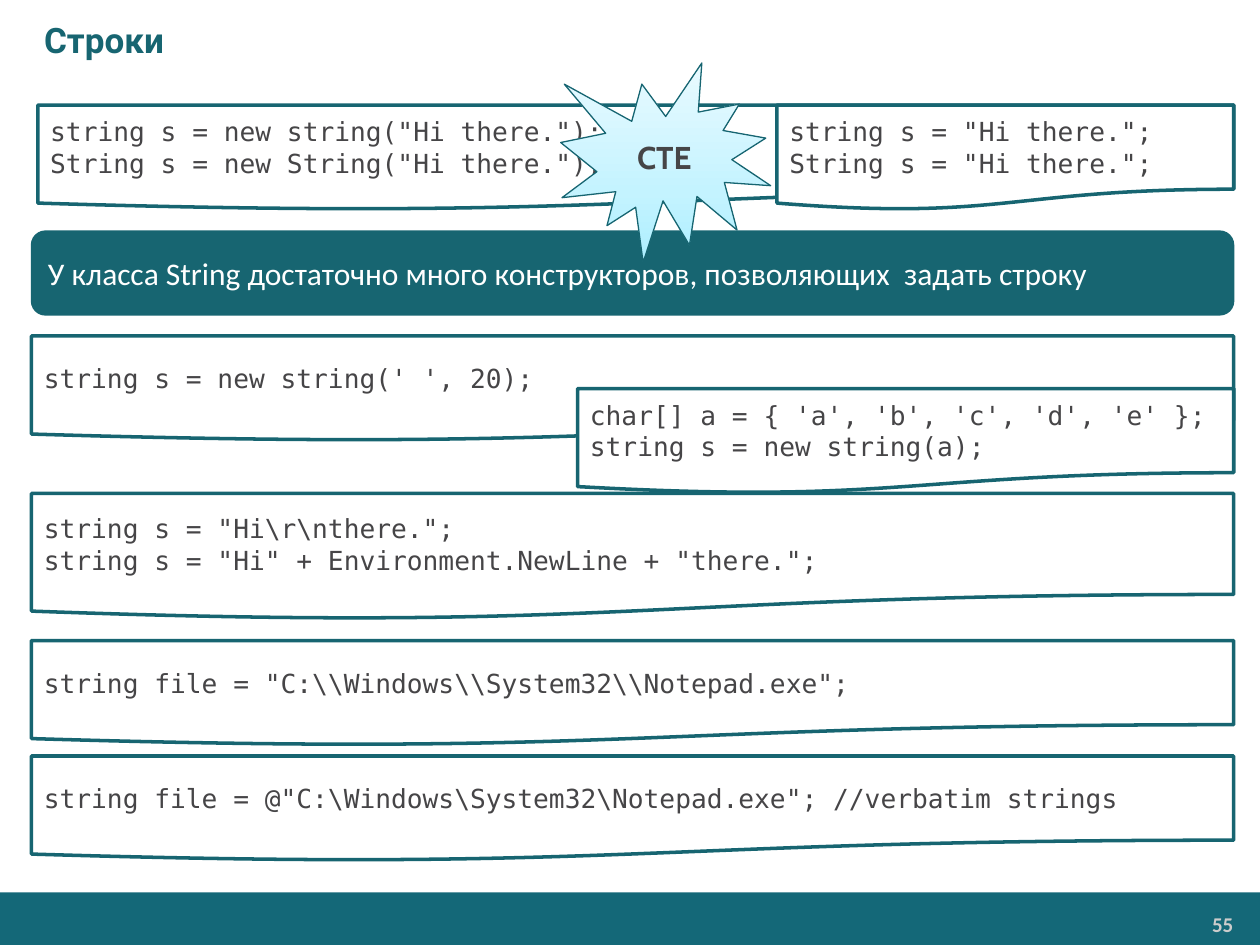
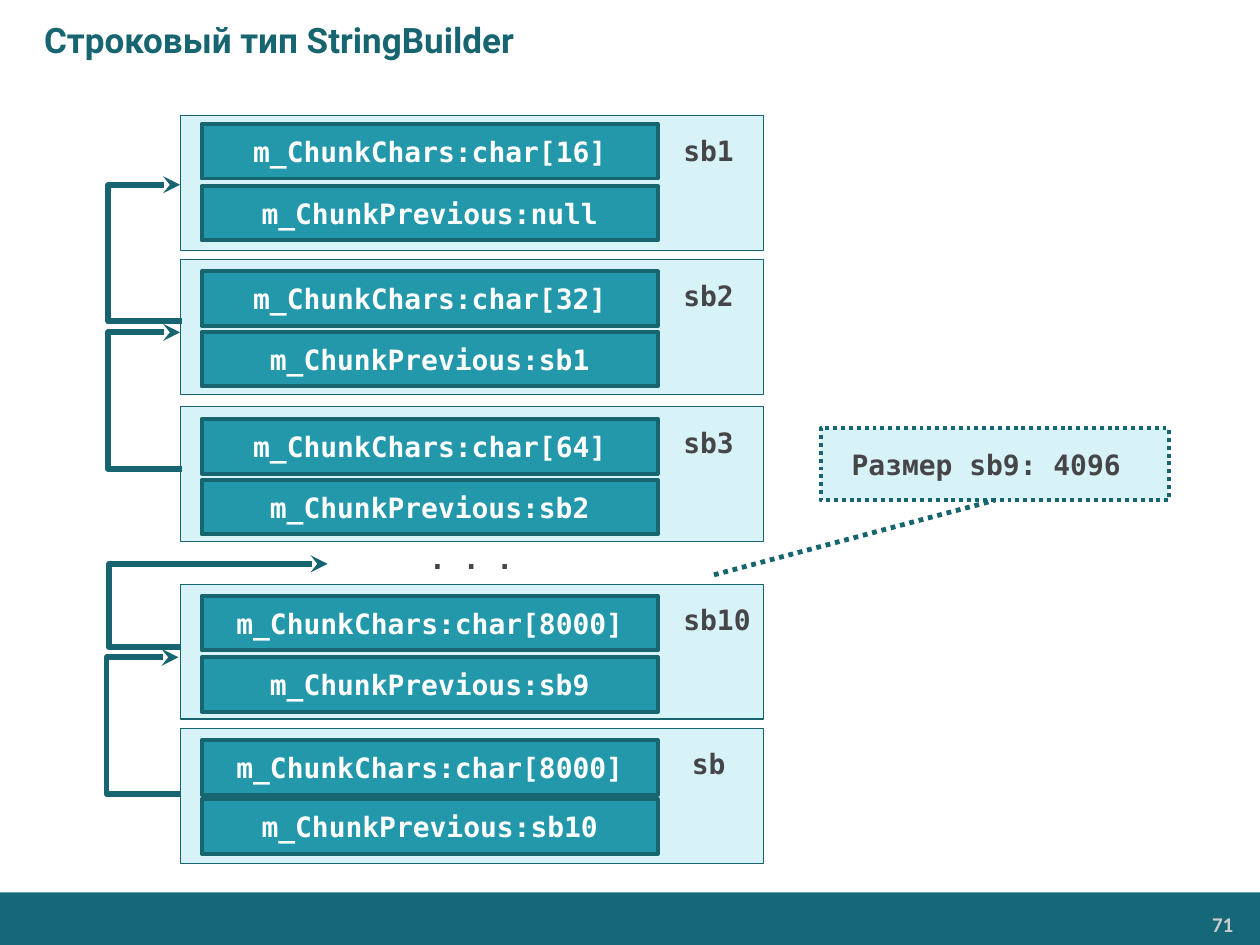
from copy import deepcopy

from pptx import Presentation
from pptx.dml.color import RGBColor
from pptx.enum.dml import MSO_LINE
from pptx.enum.shapes import MSO_CONNECTOR, MSO_SHAPE
from pptx.enum.text import MSO_ANCHOR, PP_ALIGN
from pptx.oxml.ns import qn
from pptx.util import Inches, Pt

TEAL = RGBColor(0x17, 0x65, 0x71)
BAND = RGBColor(0x14, 0x68, 0x78)
AQUA = RGBColor(0x22, 0x98, 0xAA)
PALE = RGBColor(0xD7, 0xF3, 0xF7)
WHITE = RGBColor(0xFF, 0xFF, 0xFF)
GREY = RGBColor(0xCC, 0xCC, 0xCC)
INK = RGBColor(0x46, 0x45, 0x47)
GLOW = [
    (0, RGBColor(0xAC, 0xEF, 0xFF)),
    (0.35, RGBColor(0xC4, 0xF3, 0xFF)),
    (1, RGBColor(0xE9, 0xFA, 0xFF)),
]
MONO = "DejaVu Sans Mono"
COLS, ROWS = 120, 90


class Deck:
    """Draws on a grid of 120 columns by 90 rows."""

    def __init__(self):
        self.prs = Presentation()
        self.prs.slide_width = Inches(10)
        self.prs.slide_height = Inches(7.5)
        self.slide = None

    def x(self, col):
        return round(self.prs.slide_width * col / COLS)

    def y(self, row):
        return round(self.prs.slide_height * row / ROWS)

    def rect(self, left, top, width, height):
        return self.x(left), self.y(top), self.x(width), self.y(height)

    def page(self, title, number):
        self.slide = self.prs.slides.add_slide(self.prs.slide_layouts[6])
        self.shape((0, 85, COLS, 5), BAND)
        num = self.label((98.75, 86.3, 19.55, 3.35), number, 12, GREY,
                         "Calibri", True, PP_ALIGN.RIGHT)
        num.margin_left = num.margin_right = Inches(0.07)
        num.margin_top = num.margin_bottom = Inches(0.04)
        head = self.label((0, 0, COLS, 7.5), title, 20, TEAL, "Roboto", True)
        head.margin_left = Inches(0.35)
        head.vertical_anchor = MSO_ANCHOR.MIDDLE

    def letter(self, frame, text, size, color, face=MONO, bold=False,
               align=PP_ALIGN.LEFT):
        frame.word_wrap = True
        frame.text = text
        for para in frame.paragraphs:
            para.alignment = align
            font = para.font
            font.name, font.size, font.bold = face, Pt(size), bold
            font.color.rgb = color

    def label(self, box, text, *style):
        frame = self.slide.shapes.add_textbox(*self.rect(*box)).text_frame
        self.letter(frame, text, *style)
        return frame

    def shape(self, box, fill, line=0, kind=MSO_SHAPE.RECTANGLE, dash=None):
        item = self.slide.shapes.add_shape(kind, *self.rect(*box))
        item.shadow.inherit = False
        item.fill.solid()
        item.fill.fore_color.rgb = fill
        if line:
            self.stroke(item, line, dash)
        else:
            item.line.fill.background()
        return item

    def stroke(self, item, width, dash=None):
        item.line.color.rgb = TEAL
        item.line.width = Pt(width)
        if dash:
            item.line.dash_style = dash

    def code(self, box, text):
        item = self.shape(box, WHITE, 2, MSO_SHAPE.FLOWCHART_DOCUMENT)
        self.letter(item.text_frame, text, 15, INK)

    def banner(self, box, text):
        item = self.shape(box, TEAL, 0.75, MSO_SHAPE.ROUNDED_RECTANGLE)
        self.letter(item.text_frame, text, 18, WHITE, "Calibri", False,
                    PP_ALIGN.JUSTIFY)

    def burst(self, box, text):
        item = self.shape(box, PALE, 0.75, MSO_SHAPE.EXPLOSION1)
        item.fill.gradient()
        item.fill.gradient_angle = 90
        stops = item._element.spPr.find(".//" + qn("a:gsLst"))
        stops.append(deepcopy(stops[0]))
        for stop, (place, color) in zip(item.fill.gradient_stops, GLOW):
            stop.position = place
            stop.color.rgb = color
        self.letter(item.text_frame, text, 18, INK, "Cabin", True,
                    PP_ALIGN.CENTER)

    def field(self, top, text):
        item = self.shape((19.2, top, 43.45, 5.2), AQUA, 2.25)
        self.letter(item.text_frame, text, 16, WHITE, MONO, True,
                    PP_ALIGN.CENTER)

    def link(self, kind, start, end, width, dash=None):
        item = self.slide.shapes.add_connector(
            kind, self.x(start[0]), self.y(start[1]),
            self.x(end[0]), self.y(end[1]))
        self.stroke(item, width, dash)
        props = item._element.spPr
        props.append(props.makeelement(qn("a:effectLst"), {}))
        return item

    def hook(self, start, end, bend):
        """Elbow arrow that leaves to the left and turns at column bend."""
        back = end[0] < start[0]
        ends = (end, start) if back else (start, end)
        item = self.link(MSO_CONNECTOR.ELBOW, *ends, 3.25)
        props = item._element.spPr
        if back:  # half a turn swaps the two ends
            props.find(qn("a:xfrm")).set("rot", "10800000")
        ratio = (bend - start[0]) / (end[0] - start[0])
        guides = props.find(qn("a:prstGeom")).get_or_add_avLst()
        guides.append(guides.makeelement(
            qn("a:gd"), {"name": "adj1", "fmla": f"val {ratio * 100000:.0f}"}))
        line = props.find(qn("a:ln"))
        line.append(line.makeelement(qn("a:tailEnd"), {"type": "stealth"}))


def strings(deck):
    deck.page("Строки", "55")
    left, wide, tall = 3, 114.5, 10
    deck.banner((left, 22, wide, 8),
                "У класса String достаточно много конструкторов, "
                "позволяющих  задать строку")

    # Code samples
    samples = [
        ((3.6, 10, 113.9, tall),
         'string s = new string("Hi there.");\n'
         'String s = new String("Hi there.");'),
        ((74, 10, 43.5, tall),
         'string s = "Hi there.";\nString s = "Hi there.";'),
        ((left, 32, wide, tall), "string s = new string(' ', 20);"),
        ((55, 37, 62.5, tall),
         "char[] a = { 'a', 'b', 'c', 'd', 'e' };\n"
         "string s = new string(a);"),
        ((left, 47, wide, 12),
         'string s = "Hi\\r\\nthere.";\n'
         'string s = "Hi" + Environment.NewLine + "there.";'),
        ((left, 61, wide, tall),
         r'string file = "С:\\Windows\\System32\\Notepad.exe";'),
        ((left, 72, wide, tall),
         r'string file = @"C:\Windows\System32\Notepad.exe"; '
         '//verbatim strings'),
    ]
    for box, text in samples:
        deck.code(box, text)
    deck.burst((53.4, 6, 20, 19), "CTE")


def builder(deck):
    deck.page("Строковый тип StringBuilder", "71")

    # Chunks: name, column of name, top, tops of both fields, size, previous
    chunks = [
        ("sb1", 63.9, 11, 11.8, 17.7, 16, "null"),
        ("sb2", 63.9, 24.75, 25.85, 31.6, 32, "sb1"),
        ("sb3", 63.9, 38.75, 39.9, 45.7, 64, "sb2"),
        ("sb10", 63.9, 55.65, 56.75, 62.6, 8000, "sb9"),
        ("sb", 64.7, 69.4, 70.5, 76.1, 8000, "sb10"),
    ]
    for name, col, top, first, second, size, prev in chunks:
        deck.shape((17.2, top, 55.55, 12.85), PALE, 0.75)
        deck.field(first, f"m_ChunkChars:char[{size}]")
        deck.field(second, f"m_ChunkPrevious:{prev}")
        deck.label((col, top + 1.15, 10.4, 4.4), name, 16, INK, MONO, True)
    deck.label((39.7, 51, 14.2, 4.4), ". . .", 16, INK, MONO, True)

    # Links to the previous chunk
    for right, low, high in [(17.3, 30.6, 17.6), (17.3, 44.65, 31.65),
                             (17.15, 75.6, 62.6)]:
        deck.hook((right, low), (right - 0.15, high), right - 6.95)
    deck.hook((17.2, 61.65), (31.2, 53.7), 10.35)

    # Note on the size of sb9
    dots = MSO_LINE.ROUND_DOT
    note = deck.shape((78.15, 40.8, 33.15, 6.85), PALE, 2.25, dash=dots)
    deck.letter(note.text_frame, "Размер sb9: 4096 ", 16, INK, MONO, True,
                PP_ALIGN.CENTER)
    deck.link(MSO_CONNECTOR.STRAIGHT, (68, 54.75), (94.75, 47.65), 2.75, dots)


def main():
    deck = Deck()
    strings(deck)
    builder(deck)
    deck.prs.save("out.pptx")


if __name__ == "__main__":
    main()
